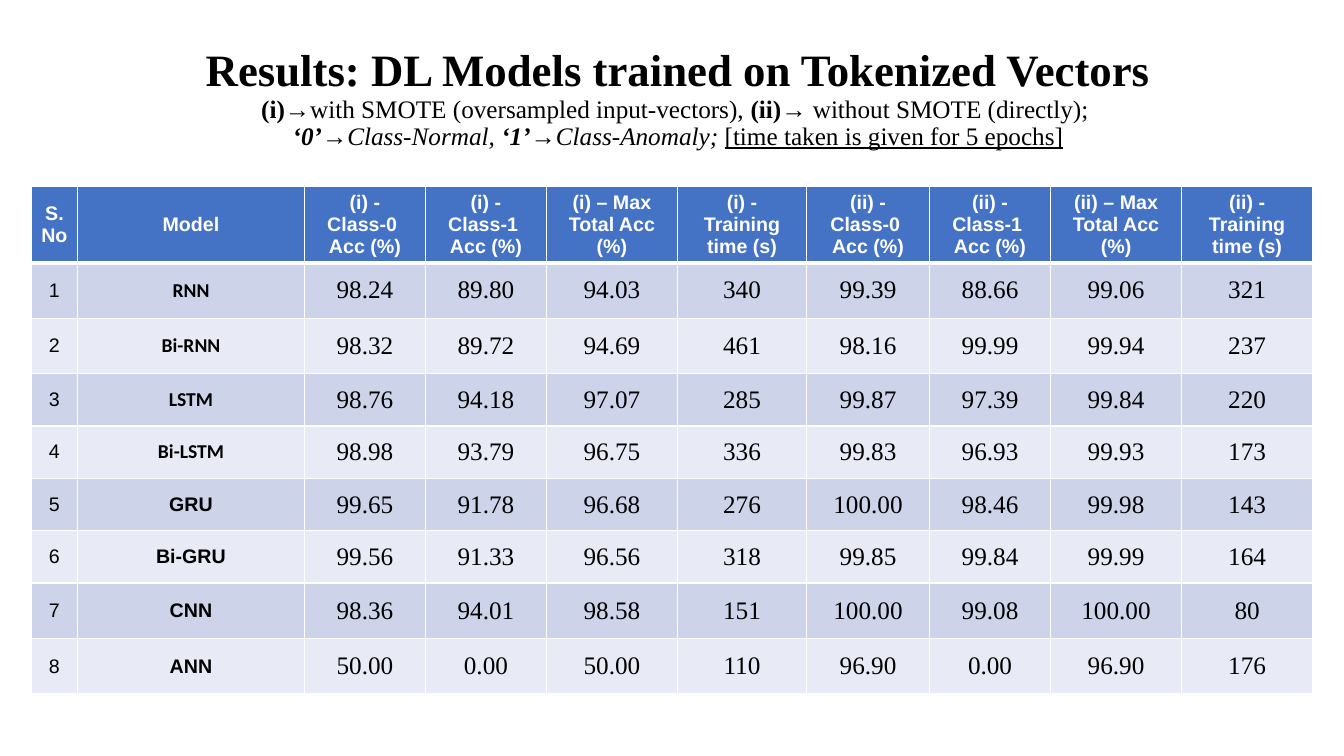
"""Builds the slide comparing deep-learning models trained on tokenized vectors."""
import copy

import pptx
import pptx.dml.color
import pptx.enum.text
import pptx.oxml
import pptx.oxml.ns
import pptx.util

Inches = pptx.util.Inches
Pt = pptx.util.Pt
RGBColor = pptx.dml.color.RGBColor
PP_ALIGN = pptx.enum.text.PP_ALIGN
MSO_ANCHOR = pptx.enum.text.MSO_ANCHOR

COLORS = {"header": "4472C4", "odd": "CDD4EA", "even": "E8EBF5", "line": "FFFFFF", "text": "000000"}
SERIF, SANS, HUMANIST = "Times New Roman", "Arial", "Calibri"

HEADLINE_LINES = [
    [("Results: DL Models trained on Tokenized Vectors", 32, "b")],
    [("(i)", 18, "b"), ("→with SMOTE (oversampled input-vectors), ", 18, ""),
     ("(ii)", 18, "b"), ("→ without SMOTE (directly); ", 18, "")],
    [("‘0’", 18, "bi"), ("→Class-Normal, ", 18, "i"), ("‘1’", 18, "bi"),
     ("→Class-Anomaly; ", 18, "i"), ("[time taken is given for 5 epochs]", 18, "u")],
]
MEASURES = ["{} - Class-0 \nAcc (%)", "{} - Class-1 \nAcc (%)",
            "{} – Max Total Acc (%)", "{} - Training time (s)"]
HEADINGS = ["S.No", "Model"] + [measure.format(run) for run in ("(i)", "(ii)") for measure in MEASURES]
RESULTS = [
    ("RNN", "98.24 89.80 94.03 340 99.39 88.66 99.06 321"),
    ("Bi-RNN", "98.32 89.72 94.69 461 98.16 99.99 99.94 237"),
    ("LSTM", "98.76 94.18 97.07 285 99.87 97.39 99.84 220"),
    ("Bi-LSTM", "98.98 93.79 96.75 336 99.83 96.93 99.93 173"),
    ("GRU", "99.65 91.78 96.68 276 100.00 98.46 99.98 143"),
    ("Bi-GRU", "99.56 91.33 96.56 318 99.85 99.84 99.99 164"),
    ("CNN", "98.36 94.01 98.58 151 100.00 99.08 100.00 80"),
    ("ANN", "50.00 0.00 50.00 110 96.90 0.00 96.90 176"),
]
COLUMN_WIDTHS = [0.46, 2.25, 1.2, 1.2, 1.3, 1.28, 1.22, 1.2, 1.3, 1.3]
ROW_HEIGHTS = [0.55] * 3 + [0.52] * 4 + [0.55] * 2


class ResultsSlide:
    """Holds the style and the current slide."""

    def __init__(self, presentation):
        """Add a title-only slide."""
        self.slide = presentation.slides.add_slide(presentation.slide_layouts[5])

    def style(self, run, font, size, marks="", color="text"):
        """Format one run; marks holds b, i and u."""
        run.font.name = font
        run.font.size = Pt(size)
        run.font.bold = "b" in marks
        run.font.italic = "i" in marks
        run.font.underline = "u" in marks
        run.font.color.rgb = RGBColor.from_string(COLORS[color])

    def headline(self, lines, left, top, width, height):
        """Place the title with its mixed-format lines."""
        title = self.slide.shapes.title
        title.left, title.top, title.width, title.height = map(Inches, (left, top, width, height))
        frame = title.text_frame
        frame.word_wrap = True
        frame.auto_size = pptx.enum.text.MSO_AUTO_SIZE.NONE
        frame.vertical_anchor = MSO_ANCHOR.MIDDLE
        paragraph = frame.paragraphs[0]
        paragraph.alignment = PP_ALIGN.CENTER
        paragraph.line_spacing = 0.9
        paragraph._p.get_or_add_pPr().set("marL", str(Inches(0.12)))
        for index, line in enumerate(lines):
            if index:
                paragraph.add_line_break()
                paragraph._p[-1].append(copy.deepcopy(run._r.rPr))
            for text, size, marks in line:
                run = paragraph.add_run()
                run.text = text
                self.style(run, SERIF, size, marks)

    def borders(self, cell, top, bottom):
        """Draw the four borders of a cell, with top and bottom widths in points."""
        properties = cell._tc.get_or_add_tcPr()
        for side, width in (("L", 1), ("R", 1), ("T", top), ("B", bottom)):
            properties.append(pptx.oxml.parse_xml(
                f'<a:ln{side} {pptx.oxml.ns.nsdecls("a")} w="{Pt(width)}"><a:solidFill>'
                f'<a:srgbClr val="{COLORS["line"]}"/></a:solidFill></a:ln{side}>'))

    def cell(self, cell, text, fill, top, bottom, *style):
        """Fill and format one table cell."""
        self.borders(cell, top, bottom)
        cell.fill.solid()
        cell.fill.fore_color.rgb = RGBColor.from_string(COLORS[fill])
        cell.vertical_anchor = MSO_ANCHOR.MIDDLE
        cell.text_frame.text = text
        for paragraph in cell.text_frame.paragraphs:
            paragraph.alignment = PP_ALIGN.CENTER
            for run in paragraph.runs:
                self.style(run, *style)

    def results_table(self, left, top):
        """Add the table of accuracies and training times."""
        table = self.slide.shapes.add_table(
            len(ROW_HEIGHTS), len(COLUMN_WIDTHS), Inches(left), Inches(top),
            Inches(sum(COLUMN_WIDTHS)), Inches(sum(ROW_HEIGHTS))).table
        for column, width in zip(table.columns, COLUMN_WIDTHS):
            column.width = Inches(width)
        for row, height in zip(table.rows, ROW_HEIGHTS):
            row.height = Inches(height)
        for column, heading in enumerate(HEADINGS):
            self.cell(table.cell(0, column), heading, "header", 1, 3, SANS, 14, "b", "line")
        for number, (model, scores) in enumerate(RESULTS, 1):
            band = "odd" if number % 2 else "even"
            model_font = HUMANIST if number <= 4 else SANS
            styles = [(SANS, 14), (model_font, 14, "b")] + [(SERIF, 18)] * 8
            for column, text in enumerate([str(number), model] + scores.split()):
                self.cell(table.cell(number, column), text, band,
                          3 if number == 1 else 1, 1, *styles[column])


presentation = pptx.Presentation()
presentation.slide_width = Inches(13.33)
presentation.slide_height = Inches(7.5)
results = ResultsSlide(presentation)
results.headline(HEADLINE_LINES, 1.04, 0.37, 11.25, 1.23)
results.results_table(0.31, 1.85)
presentation.save("out.pptx")
